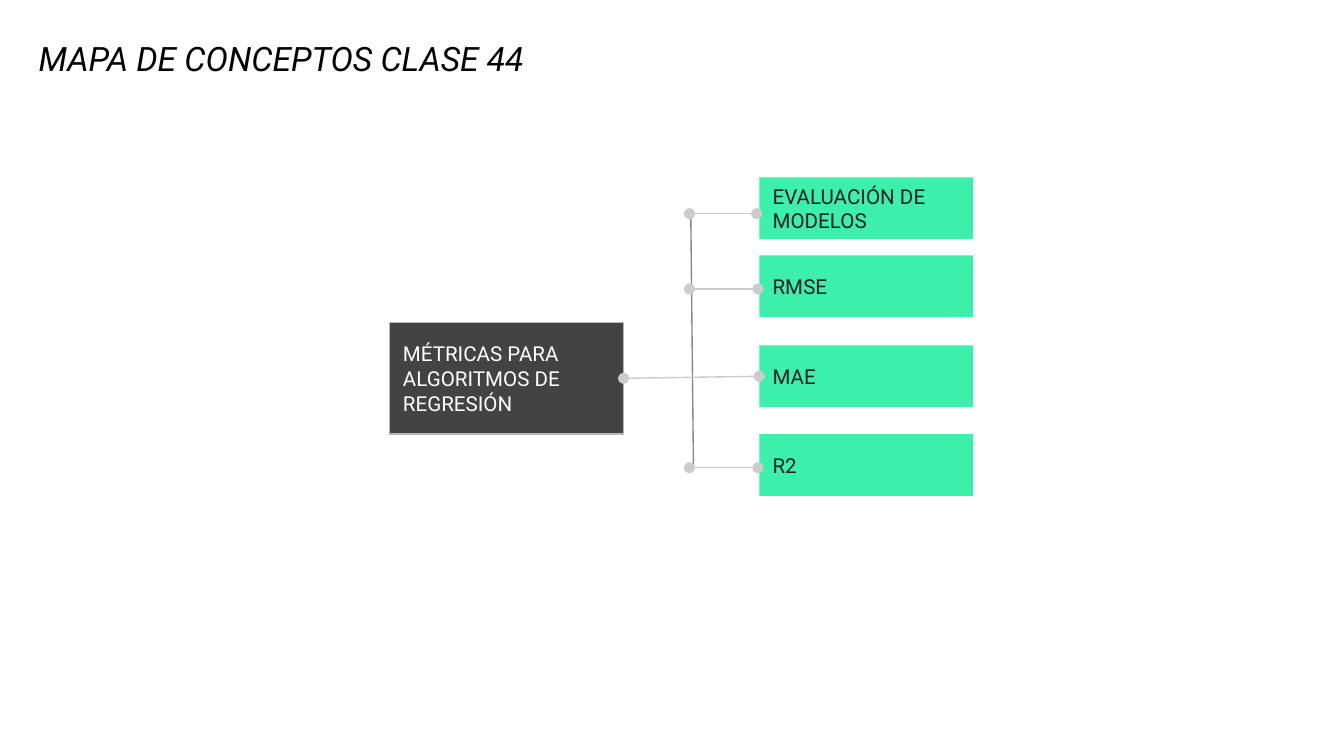
from lxml.etree import SubElement
from pptx import Presentation
from pptx.dml.color import RGBColor
from pptx.enum.shapes import MSO_CONNECTOR, MSO_SHAPE
from pptx.enum.text import MSO_ANCHOR, PP_ALIGN
from pptx.oxml.ns import qn
from pptx.util import Inches, Pt

TITLE = "MAPA DE CONCEPTOS CLASE 44"
ROOT = "MÉTRICAS PARA ALGORITMOS DE REGRESIÓN"
TOPICS = [
    {"text": "EVALUACIÓN DE MODELOS", "top": 1.32, "branch": (5.13, 1.59, 5.63, 1.59)},
    {"text": "RMSE", "top": 1.90, "branch": (5.13, 2.15, 5.64, 2.15)},
    {"text": "MAE", "top": 2.57, "branch": None},
    {"text": "R2", "top": 3.23, "branch": (5.13, 3.48, 5.64, 3.48)},
]
TRUNK = (5.14, 1.6, 5.16, 3.5)
ROOT_BOX = (2.9, 2.4, 1.74, 0.83)
TOPIC_LEFT, TOPIC_WIDTH, TOPIC_HEIGHT = 5.65, 1.59, 0.46
COLORS = {
    "title": "000000",
    "root": "434343",
    "root_border": "B7B7B7",
    "root_text": "FFFFFF",
    "topic": "3CEFAB",
    "topic_text": "222222",
    "trunk": "888888",
    "branch": "CCCCCC",
}


def color(name):
    return RGBColor.from_string(COLORS[name])


def write_text(shape, text, *, size, color_name, italic=False, anchor=MSO_ANCHOR.MIDDLE):
    frame = shape.text_frame
    frame.word_wrap = True
    frame.vertical_anchor = anchor
    frame.margin_left = frame.margin_right = Inches(0.1)
    frame.margin_top = frame.margin_bottom = Inches(0.1)
    paragraph = frame.paragraphs[0]
    paragraph.alignment = PP_ALIGN.LEFT
    run = paragraph.add_run()
    run.text = text
    run.font.name = "Roboto"
    run.font.size = Pt(size)
    run.font.italic = italic
    run.font.color.rgb = color(color_name)


def add_box(slide, box, text, *, fill, text_color, border=None):
    shape = slide.shapes.add_shape(MSO_SHAPE.RECTANGLE, *map(Inches, box))
    shape.shadow.inherit = False
    shape.fill.solid()
    shape.fill.fore_color.rgb = color(fill)
    if border:
        shape.line.color.rgb = color(border)
        shape.line.width = Pt(0.75)
    else:
        shape.line.fill.background()
    write_text(shape, text, size=11, color_name=text_color)
    return shape


def add_line(slide, ends, *, color_name, dots=True):
    connector = slide.shapes.add_connector(MSO_CONNECTOR.STRAIGHT, *map(Inches, ends))
    connector.line.color.rgb = color(color_name)
    connector.line.width = Pt(0.75)
    if dots:
        line = connector.line._get_or_add_ln()
        for end in ("a:headEnd", "a:tailEnd"):
            SubElement(line, qn(end), type="oval", w="med", len="med")
    SubElement(connector._element.spPr, qn("a:effectLst"))
    return connector


presentation = Presentation()
presentation.slide_width = Inches(10)
presentation.slide_height = presentation.slide_width * 9 // 16
slide = presentation.slides.add_slide(presentation.slide_layouts[6])

title = slide.shapes.add_textbox(*map(Inches, (0.19, 0.22, 8.26, 0.46)))
write_text(title, TITLE, size=18, color_name="title", italic=True, anchor=MSO_ANCHOR.BOTTOM)

add_line(slide, TRUNK, color_name="trunk", dots=False)
root = add_box(slide, ROOT_BOX, ROOT, fill="root", text_color="root_text", border="root_border")

for topic in TOPICS:
    box = (TOPIC_LEFT, topic["top"], TOPIC_WIDTH, TOPIC_HEIGHT)
    shape = add_box(slide, box, topic["text"], fill="topic", text_color="topic_text")
    if topic["branch"]:
        add_line(slide, topic["branch"], color_name="branch")
    else:
        link = add_line(slide, (4.63, 2.81, 5.65, 2.8), color_name="branch")
        link.begin_connect(root, 3)
        link.end_connect(shape, 1)

presentation.save("out.pptx")
